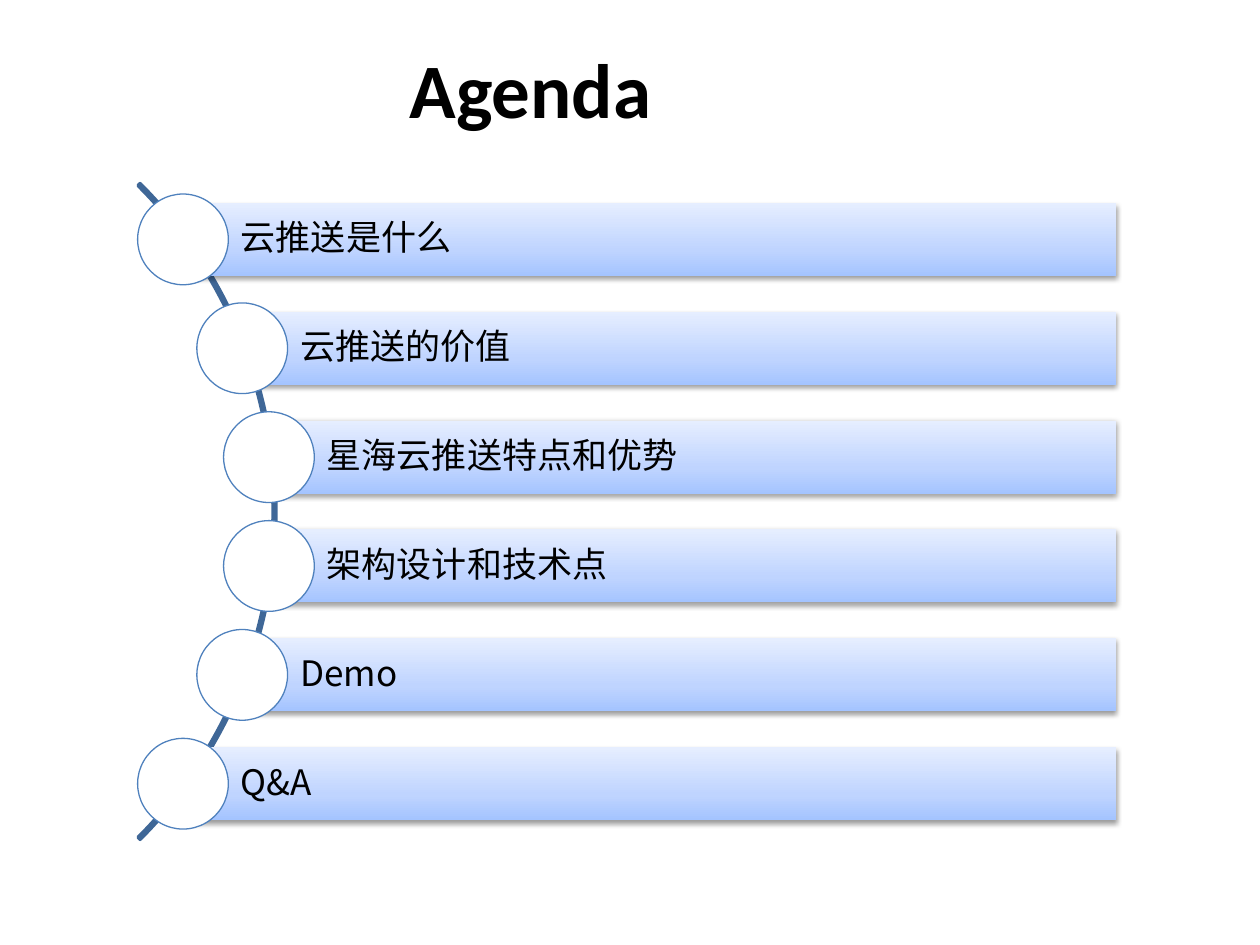
"""Build an agenda slide with topic bars strung along an arc."""
from dataclasses import dataclass
from math import sqrt

from lxml import etree
from pptx import Presentation
from pptx.dml.color import RGBColor
from pptx.enum import shapes, text
from pptx.oxml import ns
from pptx.util import Inches, Pt

TOPICS = ["云推送是什么", "云推送的价值", "星海云推送特点和优势", "架构设计和技术点", "Demo", "Q&A"]
GRADIENT = [(0, "A4C4FF"), (35, "BFD4FF"), (100, "E6EEFF")]
ARC_CENTER_X, ARC_CENTER_Y, ARC_RADIUS = -1.49, 4.06, 3.68
CIRCLE_TRACK_RADIUS = 3.65
ROW_PITCH = 0.864
BAR_RIGHT, BAR_HEIGHT, CIRCLE_SIZE = 8.86, 0.58, 0.72


@dataclass
class AgendaItem:
    label: str
    center_x: float
    center_y: float


def color(value: str) -> RGBColor:
    """Turn a hex string into a colour."""
    return RGBColor.from_string(value)


def add_element(parent, tag: str, **attributes):
    """Append a drawing element with its attributes."""
    values = {name: str(value) for name, value in attributes.items()}
    return etree.SubElement(parent, ns.qn(tag), values)


def add_shape(slide, kind, left: float, top: float, width: float, height: float):
    """Add a preset shape without a shadow."""
    shape = slide.shapes.add_shape(
        kind, Inches(left), Inches(top), Inches(width), Inches(height))
    shape.shadow.inherit = False
    return shape


def paint(shape, fill: str, line: str, line_width: float) -> None:
    """Give a shape a solid fill and an outline."""
    shape.fill.solid()
    shape.fill.fore_color.rgb = color(fill)
    shape.line.color.rgb = color(line)
    shape.line.width = Pt(line_width)


def set_insets(frame, left: float, top: float, right: float, bottom: float) -> None:
    """Set the inner margins of a text frame."""
    frame.margin_left, frame.margin_top = Inches(left), Inches(top)
    frame.margin_right, frame.margin_bottom = Inches(right), Inches(bottom)


def add_run(paragraph, wording: str, font: str, size: float, bold: bool = False) -> None:
    """Add a black left-aligned run."""
    paragraph.alignment = text.PP_ALIGN.LEFT
    run = paragraph.add_run()
    run.text = wording
    run.font.name = font
    run.font.size = Pt(size)
    run.font.bold = bold
    run.font.color.rgb = color("000000")
    add_element(run.font._element, "a:ea", typeface=font)


def shade_bar(shape) -> None:
    """Give a bar its vertical gradient and soft shadow."""
    shape.line.fill.background()
    shape.fill.gradient()
    shape.fill.gradient_angle = 90
    properties = shape._element.spPr
    stops = properties.find(".//" + ns.qn("a:gsLst"))
    for stop in list(stops):
        stops.remove(stop)
    for position, value in GRADIENT:
        stop = add_element(stops, "a:gs", pos=position * 1000)
        add_element(stop, "a:srgbClr", val=value)
    shadow = add_element(
        properties.find(ns.qn("a:effectLst")), "a:outerShdw",
        blurRad=Pt(3.1), dist=Pt(1.6), dir=5400000, rotWithShape=0)
    shadow_color = add_element(shadow, "a:srgbClr", val="000000")
    add_element(shadow_color, "a:alpha", val=38000)


def draw_item(slide, item: AgendaItem) -> None:
    """Draw one topic bar with its circle."""
    bar = add_shape(
        slide, shapes.MSO_SHAPE.RECTANGLE, item.center_x, item.center_y - BAR_HEIGHT / 2,
        BAR_RIGHT - item.center_x, BAR_HEIGHT)
    shade_bar(bar)
    frame = bar.text_frame
    frame.word_wrap = True
    frame.vertical_anchor = text.MSO_ANCHOR.MIDDLE
    set_insets(frame, 0.46, 0.06, 0.06, 0.06)
    paragraph = frame.paragraphs[0]
    paragraph.line_spacing = 0.9
    add_run(paragraph, item.label, "Noto Sans CJK SC", 20)
    circle = add_shape(
        slide, shapes.MSO_SHAPE.OVAL, item.center_x - CIRCLE_SIZE / 2,
        item.center_y - CIRCLE_SIZE / 2, CIRCLE_SIZE, CIRCLE_SIZE)
    paint(circle, "FFFFFF", "4F81BD", 0.75)


def draw_title(slide) -> None:
    """Place and format the slide title."""
    title = slide.shapes.title
    title.left, title.top = Inches(3.2), Inches(0.3)
    title.width, title.height = Inches(6.8), Inches(0.72)
    frame = title.text_frame
    frame.auto_size = text.MSO_AUTO_SIZE.NONE
    frame.vertical_anchor = text.MSO_ANCHOR.TOP
    set_insets(frame, 0.05, 0.03, 0.05, 0.03)
    add_run(frame.paragraphs[0], "Agenda", "Calibri", 44, bold=True)


def draw_arc(slide) -> None:
    """Draw the thin arc behind the circles."""
    arc = add_shape(
        slide, shapes.MSO_SHAPE.BLOCK_ARC, ARC_CENTER_X - ARC_RADIUS,
        ARC_CENTER_Y - ARC_RADIUS, 2 * ARC_RADIUS, 2 * ARC_RADIUS)
    for index, value in enumerate([189, 27, 0.003]):
        arc.adjustments[index] = value
    paint(arc, "3F6797", "3F6797", 2)


def main() -> None:
    """Build and save the presentation."""
    presentation = Presentation()
    presentation.slide_width, presentation.slide_height = Inches(10), Inches(7.5)
    slide = presentation.slides.add_slide(presentation.slide_layouts[5])
    draw_title(slide)
    draw_arc(slide)
    for index, label in enumerate(TOPICS):
        offset = (index - (len(TOPICS) - 1) / 2) * ROW_PITCH
        center_x = ARC_CENTER_X + sqrt(CIRCLE_TRACK_RADIUS ** 2 - offset ** 2)
        draw_item(slide, AgendaItem(label, center_x, ARC_CENTER_Y + offset))
    presentation.save("out.pptx")


if __name__ == "__main__":
    main()
